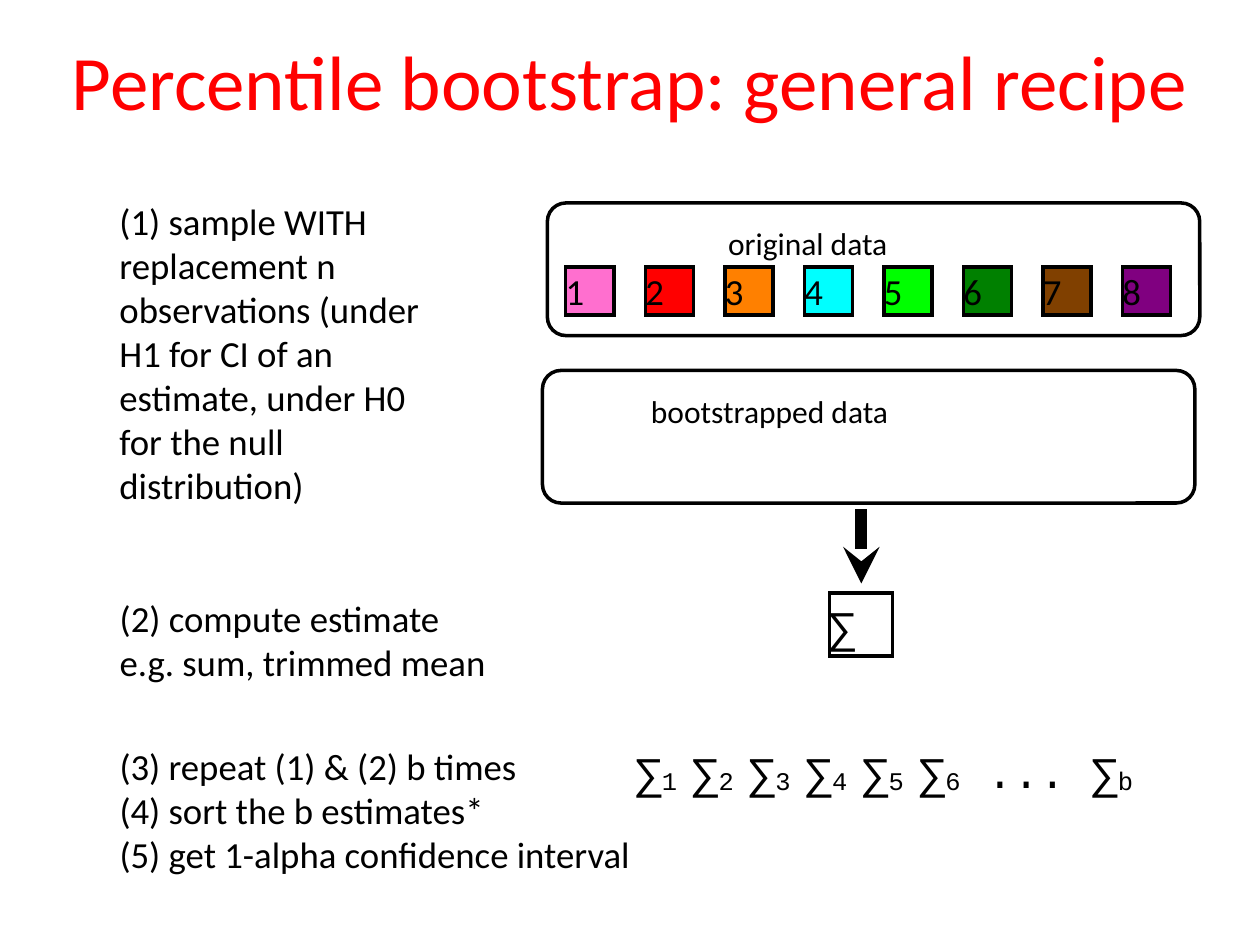
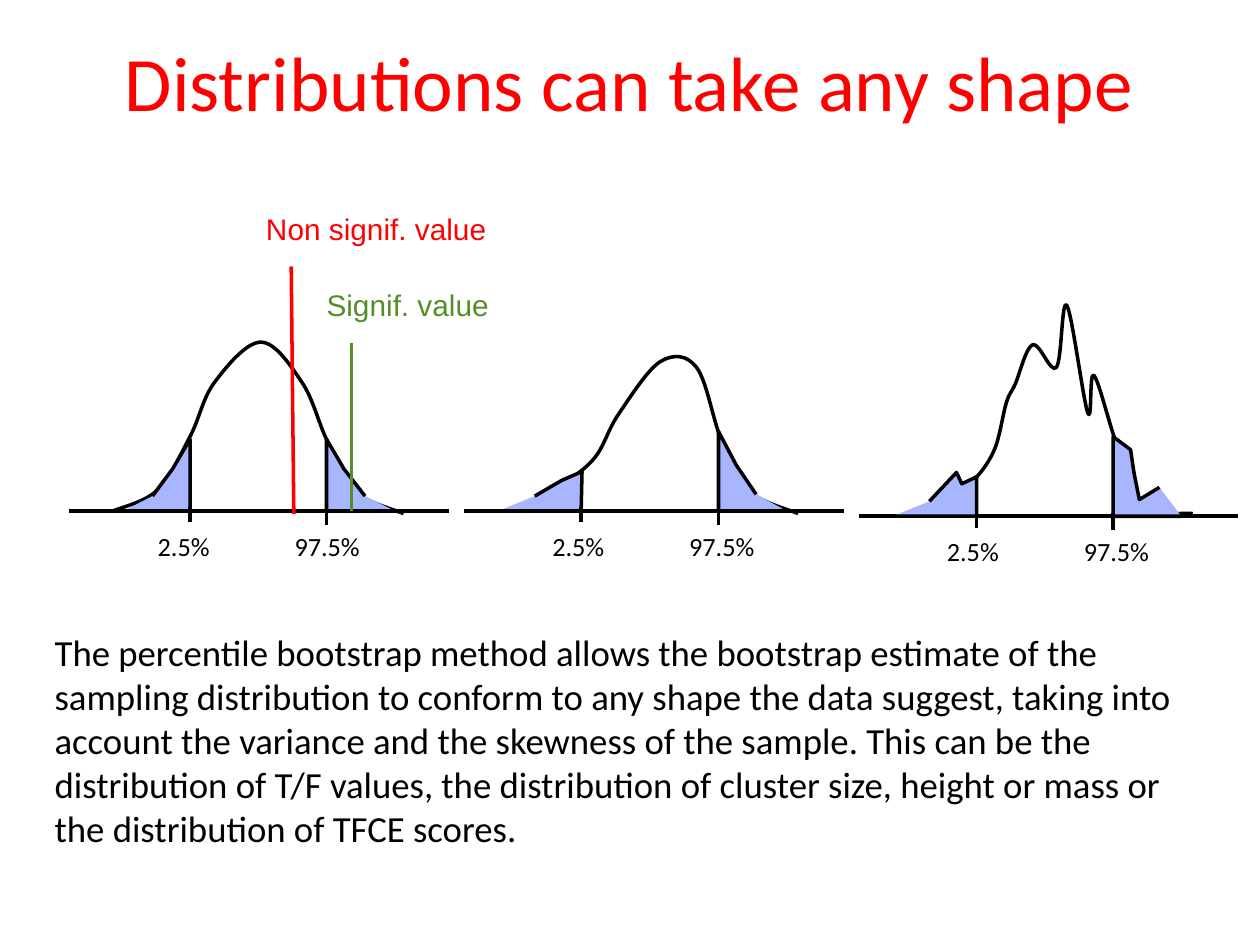
from lxml.etree import SubElement
from pptx import Presentation
from pptx.dml.color import RGBColor
from pptx.enum.shapes import MSO_CONNECTOR, MSO_SHAPE
from pptx.enum.text import MSO_ANCHOR as ANCHOR, MSO_AUTO_SIZE, PP_ALIGN as ALIGN
from pptx.oxml.ns import qn
from pptx.util import Pt

BLACK, WHITE, RED, GREEN, TAIL_BLUE = "000000", "FFFFFF", "FF0000", "558E28", "A7B6FF"
BODY_FONT, SYMBOL_FONT, VALUE_FONT = "Calibri", "Courier New", "Arial"
BODY_SIZE, TITLE_SIZE, LABEL_SIZE, TICK_SIZE = 21, 44, 18, 15
LINE_WIDTH = 2
OBSERVATION_COLOURS = ["FF6FCF", "FF0000", "FF8000", "00FFFF",
                       "00FF00", "008000", "804000", "800080"]

# Points are (distance along the axis, height above it).
DISTRIBUTIONS = [
    dict(
        curve=[(25, 0), (50.5, 12), (69, 42.5), (83, 73.5), (109.5, 96.5),
               (133, 73.5), (147, 41), (162, 12), (191, -1.5)],
        left_tail=[(31, 0), (69, 0), (69, 41), (59, 24), (47.5, 8.5)],
        right_tail=[(186, 0), (147, 0), (147, 41), (157, 24), (169, 8.5)],
    ),
    dict(
        curve=[(25, 0), (50.5, 12), (74, 29.5), (88.5, 55.5), (112.5, 85.5),
               (133, 82), (147, 41), (162, 12), (191, -1.5)],
        left_tail=[(19.5, 0), (67, 0), (67.5, 22.5), (56, 17.5), (40.5, 8.5)],
        right_tail=[(184.5, 0), (145.5, 0), (145.5, 45.5), (155.5, 26.5), (167, 9.5)],
    ),
    dict(
        curve=[(26, 0), (51, 11.5), (52, 13), (57, 16), (67.5, 22.5), (78, 39),
               (84.5, 65), (89.5, 75.5), (99.5, 98), (113, 85), (119, 120.5),
               (131, 59), (134.5, 80.5), (147.5, 41), (161.5, 6), (191, 1.5)],
        left_tail=[(19.5, 0), (67.5, 0), (67.5, 22.5), (59, 18.5), (56, 25),
                   (40.5, 8.5)],
        right_tail=[(184.5, 0), (145.5, 0), (145.5, 45.5), (155.5, 38),
                    (157.5, 24.5), (160.5, 9.5), (172, 16.5)],
    ),
]


def rgb(colour):
    return RGBColor.from_string(colour)


def move(sp, x, y, w, h):
    sp.left, sp.top, sp.width, sp.height = Pt(x), Pt(y), Pt(w), Pt(h)


def add_run(p, text, size=BODY_SIZE, font=BODY_FONT, colour=BLACK, baseline=None):
    r = p.add_run()
    r.text = text
    r.font.size, r.font.name = Pt(size), font
    r.font.color.rgb = rgb(colour)
    if baseline is not None:
        r._r.get_or_add_rPr().set("baseline", str(baseline))


def write(sp, *lines, align=ALIGN.LEFT, anchor=ANCHOR.BOTTOM, wrap=True, **font):
    """Fill a shape with one unbulleted paragraph per line."""
    tf = sp.text_frame
    tf.auto_size = MSO_AUTO_SIZE.NONE
    tf.word_wrap, tf.vertical_anchor = wrap, anchor
    tf.margin_left = tf.margin_top = tf.margin_right = tf.margin_bottom = 0
    for i, line in enumerate(lines):
        p = tf.add_paragraph() if i else tf.paragraphs[0]
        p.alignment, p.space_before = align, Pt(0)
        if sp.is_placeholder:
            pPr = p._p.get_or_add_pPr()
            pPr.set("marL", "0")
            pPr.set("indent", "0")
            SubElement(pPr, qn("a:buNone"))
        add_run(p, line, **font)
    return tf


def add_text(s, box, *lines, **fmt):
    sp = s.shapes.add_textbox(*map(Pt, box))
    return write(sp, *lines, **fmt)


def style(sp, fill=None):
    sp.shadow.inherit = False
    sp.line.color.rgb, sp.line.width = rgb(BLACK), Pt(LINE_WIDTH)
    if fill:
        sp.fill.solid()
        sp.fill.fore_color.rgb = rgb(fill)
    else:
        sp.fill.background()


def add_box(s, x, y, w, h, shape=MSO_SHAPE.RECTANGLE, fill=None):
    sp = s.shapes.add_shape(shape, Pt(x), Pt(y), Pt(w), Pt(h))
    style(sp, fill)
    SubElement(sp.line._get_or_add_ln(), qn("a:miter"), lim="800000")
    return sp


def add_line(s, x1, y1, x2, y2, colour=BLACK, width=LINE_WIDTH, arrow=False):
    cn = s.shapes.add_connector(MSO_CONNECTOR.STRAIGHT, Pt(x1), Pt(y1), Pt(x2), Pt(y2))
    cn.line.color.rgb, cn.line.width = rgb(colour), Pt(width)
    if arrow:
        SubElement(cn.line._get_or_add_ln(), qn("a:tailEnd"), type="stealth")
    SubElement(cn._element.spPr, qn("a:effectLst"))


def add_outline(s, x, y, points, fill=None):
    """Draw an open outline whose points rise from the origin (x, y)."""
    start, *rest = [(Pt(x + dx), Pt(y - dy)) for dx, dy in points]
    fb = s.shapes.build_freeform(*start)
    fb.add_line_segments(rest, close=False)
    sp = fb.convert_to_shape()
    style(sp, fill)
    return sp


def smooth(sp):
    """Turn an outline's straight segments into one Catmull-Rom spline."""
    outline = next(sp._element.iter(qn("a:path")))
    knots = [(int(pt.get("x")), int(pt.get("y"))) for pt in outline.iter(qn("a:pt"))]
    for segment in outline.findall(qn("a:lnTo")):
        outline.remove(segment)
    padded = [knots[0], *knots, knots[-1]]
    for a, b, c, d in zip(padded, padded[1:], padded[2:], padded[3:]):
        leave = [q + (r - p) / 6 for p, q, r in zip(a, b, c)]
        arrive = [r - (u - q) / 6 for q, r, u in zip(b, c, d)]
        bezier = SubElement(outline, qn("a:cubicBezTo"))
        for px, py in (leave, arrive, c):
            SubElement(bezier, qn("a:pt"), x=str(round(px)), y=str(round(py)))


def new_slide(prs, title, title_box, body, body_box, title_align=ALIGN.CENTER):
    s = prs.slides.add_slide(prs.slide_layouts[1])
    sp_title, sp_body = s.shapes.title, s.placeholders[1]
    move(sp_title, *title_box)
    write(sp_title, title, align=title_align, size=TITLE_SIZE, colour=RED)
    move(sp_body, *body_box)
    write(sp_body, *body)
    return s


def add_data_panel(s, x, y, label, label_x):
    panel = add_box(s, x, y, 372.8, 75.8, MSO_SHAPE.ROUNDED_RECTANGLE)
    panel.adjustments[0] = 0.14
    add_text(s, (x + label_x, y + 12.25, 137, 21.5), label, wrap=False, size=LABEL_SIZE)


def add_observations(s, x, y, side=27.5, pitch=45.45):
    for i, colour in enumerate(OBSERVATION_COLOURS):
        sp = add_box(s, x + i * pitch, y, side, side, fill=colour)
        write(sp, str(i + 1), anchor=ANCHOR.MIDDLE)


def add_estimate_series(s, box):
    tf = add_text(s, box, wrap=False)
    p = tf.paragraphs[0]
    symbol = dict(size=25, font=SYMBOL_FONT)
    for lead, index in [*(("∑", f"{n} ") for n in range(1, 6)),
                        ("∑", "6"), (" ... ∑", "b")]:
        add_run(p, lead, **symbol, baseline=0)
        add_run(p, index, **symbol, baseline=-6000)


def add_distribution(s, x, y, curve, left_tail, right_tail):
    """Draw a density on an axis that starts at (x, y), with its 95% limits."""
    add_line(s, x, y, x + 217, y)
    smooth(add_outline(s, x, y, curve))
    for tail, label, label_x, label_w, depth in (
            (left_tail, "2.5%", 50.5, 30, 6.5), (right_tail, "97.5%", 128.7, 37.5, 8)):
        add_outline(s, x, y, tail, TAIL_BLUE)
        limit = x + tail[1][0]
        add_line(s, limit, y - 2, limit, y + depth)
        add_text(s, (x + label_x, y + 11, label_w, 18), label,
                 wrap=False, size=TICK_SIZE)


def add_value_marker(s, x, top, bottom, label, colour, label_w, lean=0):
    add_line(s, x, top, x + lean, bottom, colour)
    add_text(s, (x - 14.4, top - 32.4, label_w, 21), label, wrap=False,
             size=17, font=VALUE_FONT, colour=colour)


def recipe_slide(prs):
    s = new_slide(
        prs, "Percentile bootstrap: general recipe", (31.5, 12, 657, 60),
        ["(3) repeat (1) & (2) b times", "(4) sort the b estimates*",
         "(5) get 1-alpha confidence interval"], (68.3, 424, 294.5, 76.5))
    add_text(s, (68.3, 209.2, 177, 80.6),
             "(1) sample WITH replacement n observations (under H1 for CI of an "
             "estimate, under H0 for the null distribution)")
    add_text(s, (68.4, 340, 211, 51), "(2) compute estimate",
             "e.g. sum, trimmed mean", wrap=False)
    add_data_panel(s, 312.8, 116, "original data", 103.2)
    add_observations(s, 323.3, 152.6)
    add_data_panel(s, 310, 211.7, "bootstrapped data", 62)
    add_line(s, 492.2, 291, 492.2, 333.4, width=7, arrow=True)
    write(add_box(s, 474, 339, 36, 36, fill=WHITE), "∑",
          anchor=ANCHOR.MIDDLE, size=25, font=SYMBOL_FONT)
    add_estimate_series(s, (363.3, 425.5, 309, 30))


def shapes_slide(prs):
    s = new_slide(
        prs, "Distributions can take any shape", (71.3, 19.5, 582.5, 53.3),
        ["The percentile bootstrap method allows the bootstrap estimate of the sampling "
         "distribution to conform to any shape the data suggest, taking into account the "
         "variance and the skewness of the sample. This can be the distribution of T/F "
         "values, the distribution of cluster size, height or mass or the distribution "
         "of TFCE scores."], (31.2, 405, 646.5, 80.6), title_align=ALIGN.LEFT)
    for i, (axis_y, parts) in enumerate(zip((292, 292, 295), DISTRIBUTIONS)):
        add_distribution(s, 39.6 + i * 225.5, axis_y, **parts)
    add_value_marker(s, 201, 195.8, 292, "Signif. value", GREEN, 101.5)
    add_value_marker(s, 166.4, 152.3, 293.6, "Non signif. value", RED, 137.5, lean=1.5)


def main():
    prs = Presentation()
    prs.slide_width, prs.slide_height = Pt(720), Pt(540)
    recipe_slide(prs)
    shapes_slide(prs)
    prs.save("out.pptx")


if __name__ == "__main__":
    main()
